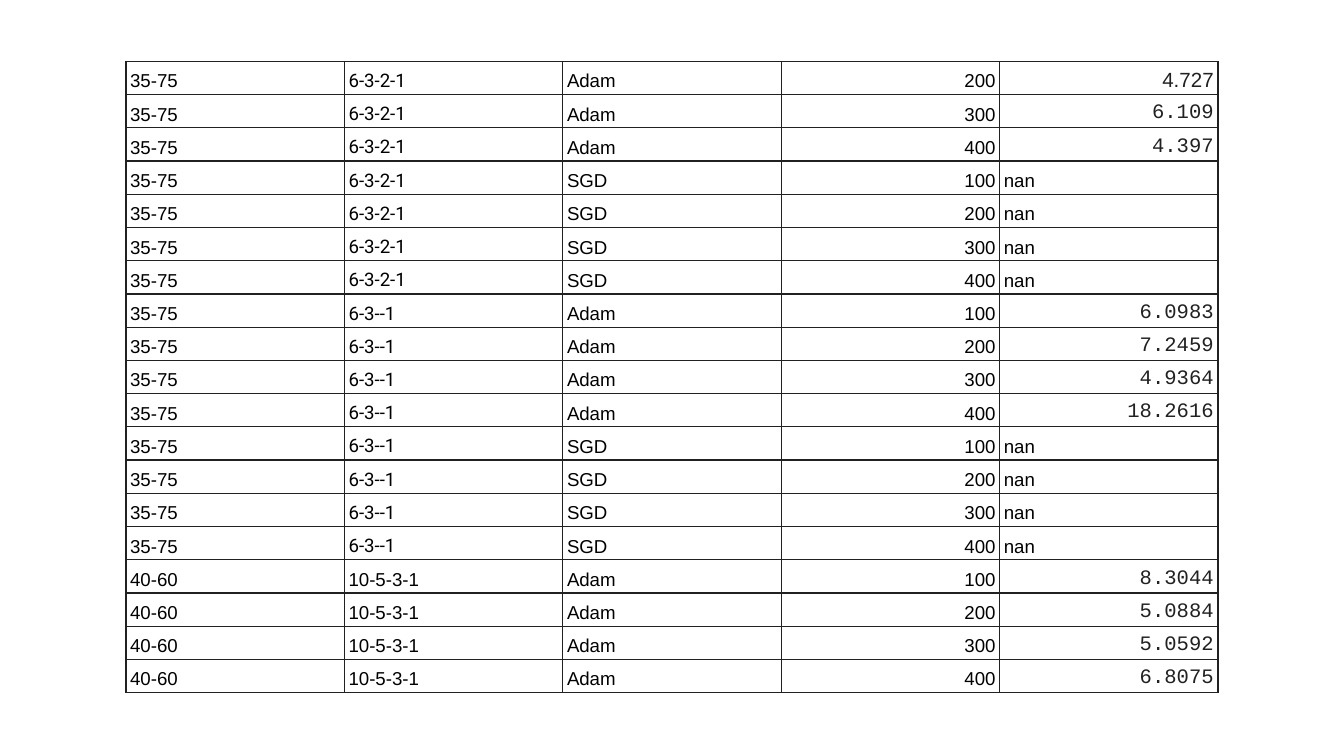
from lxml import etree
from pptx import Presentation
from pptx import util as u
from pptx.dml.color import RGBColor
from pptx.enum import text
from pptx.oxml import ns

BLACK = RGBColor(0x00, 0x00, 0x00)
CHARCOAL = RGBColor(0x21, 0x21, 0x21)

# Data split, layer sizes, optimizer, first epoch count, losses per 100 epochs
RUNS = [
    ("35-75", "6-3-2-1", "Adam", 200, ["4.727", "6.109", "4.397"]),
    ("35-75", "6-3-2-1", "SGD", 100, ["nan"] * 4),
    ("35-75", "6-3--1", "Adam", 100, ["6.0983", "7.2459", "4.9364", "18.2616"]),
    ("35-75", "6-3--1", "SGD", 100, ["nan"] * 4),
    ("40-60", "10-5-3-1", "Adam", 100, ["8.3044", "5.0884", "5.0592", "6.8075"]),
]
ROWS = [
    (split, layers, optimizer, str(first + 100 * step), loss)
    for split, layers, optimizer, first, losses in RUNS
    for step, loss in enumerate(losses)
]
LAYERS, EPOCHS, LOSS = 1, 3, 4

CELL_FORMAT = {
    "margin_left": u.Cm(0.08),
    "margin_right": u.Cm(0.08),
    "margin_top": u.Cm(0.05),
    "margin_bottom": u.Cm(0.05),
    "vertical_anchor": text.MSO_ANCHOR.BOTTOM,
}


def set_attributes(target, values):
    for name, value in values.items():
        setattr(target, name, value)


def add_borders(cell, color, width):
    properties = cell._tc.get_or_add_tcPr()
    for side in ("a:lnL", "a:lnR", "a:lnT", "a:lnB"):
        line = etree.SubElement(properties, ns.qn(side), w=str(width))
        fill = etree.SubElement(line, ns.qn("a:solidFill"))
        etree.SubElement(fill, ns.qn("a:srgbClr"), val=str(color))


def font_format(row, column):
    """Losses are larger and monospaced, except the first one, which is in Arial."""
    value = ROWS[row][column]
    if column == LOSS and value != "nan":
        name = "Arial" if row == 0 else "Courier New"
        return {"name": name, "size": u.Pt(11)}, CHARCOAL
    roboto = column == LAYERS and value.startswith("6-")
    return {"name": "Roboto" if roboto else "Arial", "size": u.Pt(10)}, BLACK


def fill_cell(cell, row, column):
    value = ROWS[row][column]
    set_attributes(cell, CELL_FORMAT)
    add_borders(cell, CHARCOAL, u.Pt(0.75))
    cell.fill.background()

    cell.text = value
    paragraph = cell.text_frame.paragraphs[0]
    numeric = column in (EPOCHS, LOSS) and value != "nan"
    paragraph.alignment = text.PP_ALIGN.RIGHT if numeric else text.PP_ALIGN.LEFT
    paragraph.line_spacing = 1.15
    font = paragraph.runs[0].font
    values, color = font_format(row, column)
    set_attributes(font, values)
    font.color.rgb = color


def add_results_table(slide, left, top, width, height):
    shape = slide.shapes.add_table(
        len(ROWS), len(ROWS[0]), left, top, width, height)
    table = shape.table
    set_attributes(table, {"first_row": False, "horz_banding": False})
    for row, values in enumerate(ROWS):
        for column in range(len(values)):
            fill_cell(table.cell(row, column), row, column)


def main():
    presentation = Presentation()
    presentation.slide_width = u.Cm(25.4)
    presentation.slide_height = u.Cm(14.29)
    slide = presentation.slides.add_slide(presentation.slide_layouts[6])
    add_results_table(slide, u.Cm(2.38), u.Cm(1.16), u.Cm(20.64), u.Cm(11.94))
    presentation.save("out.pptx")


if __name__ == "__main__":
    main()
